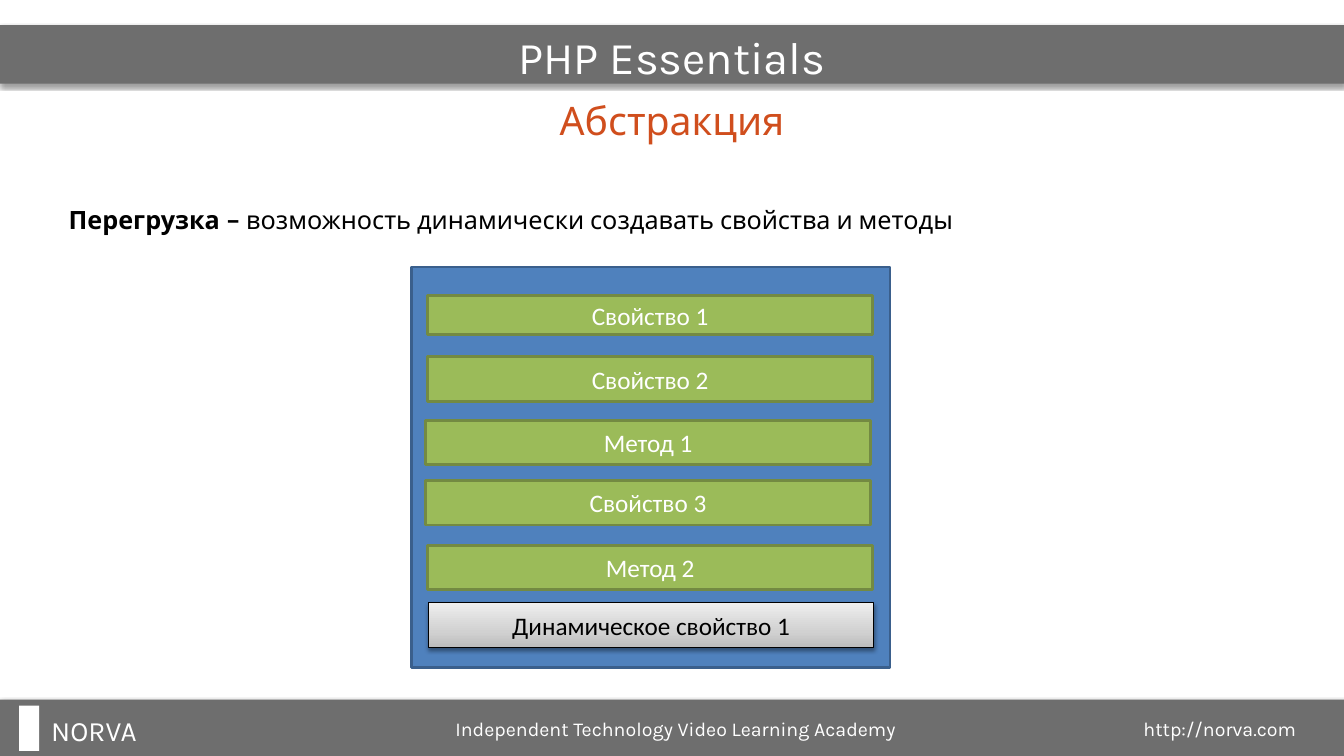
import copy
from dataclasses import dataclass

import pptx
import pptx.dml.color
import pptx.enum.shapes
import pptx.enum.text
import pptx.oxml
import pptx.oxml.ns
import pptx.shapes.autoshape
import pptx.slide
import pptx.util

Pt = pptx.util.Pt
Align = pptx.enum.text.PP_ALIGN
Anchor = pptx.enum.text.MSO_ANCHOR

COLORS = {
    "bar": "6E6E6E",
    "white": "FFFFFF",
    "black": "000000",
    "title": "D04E1D",
    "class": "4F81BD",
    "class_line": "3A5F8C",
    "member": "9BBB59",
    "member_line": "738A42",
}
DYNAMIC_GRADIENT = [(0, "BDBDBD"), (0.35, "D1D1D1"), (1, "EEEEEE")]
SLIDE_WIDTH, SLIDE_HEIGHT = 960, 540
BAR_HEIGHT = 41.8
MEMBER_WIDTH = 318.2


@dataclass
class Frame:
    left: float
    top: float
    width: float
    height: float

    def lengths(self) -> list[int]:
        return [Pt(value) for value in (self.left, self.top, self.width, self.height)]


@dataclass
class Label:
    text: str
    frame: Frame
    size: float
    color: str = "white"
    align: Align = Align.LEFT
    anchor: Anchor = Anchor.TOP
    bold_prefix: str = ""


@dataclass
class Member:
    text: str
    left: float
    top: float
    height: float = 31.7
    dynamic: bool = False


LABELS = [
    Label("Абстракция", Frame(156, 63.4, 648, 44.6), 28, "title", Align.CENTER, Anchor.MIDDLE),
    Label("PHP Essentials", Frame(156, 18, 648, 44.6), 32.4, "white", Align.CENTER, Anchor.MIDDLE),
    Label("возможность динамически создавать свойства и методы",
          Frame(42, 142.6, 792, 334), 18, "black", bold_prefix="Перегрузка – "),
    Label("Independent Technology Video Learning Academy", Frame(318.2, 508.3, 400, 24.5), 14),
    Label("http://norva.com", Frame(753, 508.3, 180, 24.5), 14, align=Align.RIGHT),
    Label("NORVA", Frame(29.5, 506.2, 120, 31.7), 20),
]

MEMBERS = [
    Member("Свойство 1", 305.3, 211, 28.1),
    Member("Свойство 2", 305.3, 254.9),
    Member("Метод 1", 303.8, 300.2),
    Member("Свойство 3", 303.8, 343.4),
    Member("Метод 2", 305.3, 389.5),
    Member("Динамическое свойство 1", 306, 430.6, dynamic=True),
]


def rgb(value: str) -> pptx.dml.color.RGBColor:
    return pptx.dml.color.RGBColor.from_string(value)


def style_span(span, font: str, size: float, color: str, bold: bool = False) -> None:
    span.font.name = font
    span.font.size = Pt(size)
    span.font.bold = bold
    span.font.color.rgb = rgb(COLORS[color])


def add_label(page: pptx.slide.Slide, label: Label) -> None:
    box = page.shapes.add_textbox(*label.frame.lengths())
    box.text_frame.word_wrap = True
    box.text_frame.vertical_anchor = label.anchor
    para = box.text_frame.paragraphs[0]
    para.text = label.bold_prefix or label.text
    para.alignment = label.align
    if label.bold_prefix:
        para.add_run().text = label.text
    for index, span in enumerate(para.runs):
        style_span(span, "Karla", label.size, label.color, bool(label.bold_prefix) and index == 0)


def add_box(page: pptx.slide.Slide, frame: Frame, fill: str, line: str = "",
            line_width: float = 2) -> pptx.shapes.autoshape.Shape:
    box = page.shapes.add_shape(pptx.enum.shapes.MSO_SHAPE.RECTANGLE, *frame.lengths())
    box.shadow.inherit = False
    box.fill.solid()
    box.fill.fore_color.rgb = rgb(COLORS[fill])
    if line:
        box.line.color.rgb = rgb(COLORS[line])
        box.line.width = Pt(line_width)
    else:
        box.line.fill.background()
    return box


def add_shadow(box: pptx.shapes.autoshape.Shape) -> None:
    effects = box._element.spPr.find(pptx.oxml.ns.qn("a:effectLst"))
    effects.append(pptx.oxml.parse_xml(
        f'<a:outerShdw {pptx.oxml.ns.nsdecls("a")} blurRad="{Pt(3.1)}" dist="{Pt(1.6)}" '
        f'dir="5400000" rotWithShape="0"><a:srgbClr val="{COLORS["black"]}">'
        '<a:alpha val="38000"/></a:srgbClr></a:outerShdw>'
    ))


def apply_gradient(box: pptx.shapes.autoshape.Shape) -> None:
    box.fill.gradient()
    box.fill.gradient_angle = 90
    stop_list = box._element.spPr.find(".//" + pptx.oxml.ns.qn("a:gsLst"))
    stop_list.insert(1, copy.deepcopy(stop_list[0]))
    for stop, (position, color) in zip(box.fill.gradient_stops, DYNAMIC_GRADIENT):
        stop.position = position
        stop.color.rgb = rgb(color)


def add_member(page: pptx.slide.Slide, member: Member) -> None:
    frame = Frame(member.left, member.top, MEMBER_WIDTH, member.height)
    if member.dynamic:
        box = add_box(page, frame, "white", "black", 0.75)
        apply_gradient(box)
        add_shadow(box)
    else:
        box = add_box(page, frame, "member", "member_line")
    box.text_frame.text = member.text
    box.text_frame.vertical_anchor = Anchor.MIDDLE
    para = box.text_frame.paragraphs[0]
    para.alignment = Align.CENTER
    style_span(para.runs[0], "Calibri", 18, "black" if member.dynamic else "white")


def main() -> None:
    deck = pptx.Presentation()
    deck.slide_width, deck.slide_height = Pt(SLIDE_WIDTH), Pt(SLIDE_HEIGHT)
    page = deck.slides.add_slide(deck.slide_layouts[6])
    for bar_top in (18, 499.7):
        add_shadow(add_box(page, Frame(0, bar_top, SLIDE_WIDTH, BAR_HEIGHT), "bar"))
    add_box(page, Frame(13.7, 504, 14.4, 32.4), "white")
    for label in LABELS:
        add_label(page, label)
    add_box(page, Frame(293.8, 190.8, 342, 285.8), "class", "class_line")
    for member in MEMBERS:
        add_member(page, member)
    deck.save("out.pptx")


if __name__ == "__main__":
    main()
